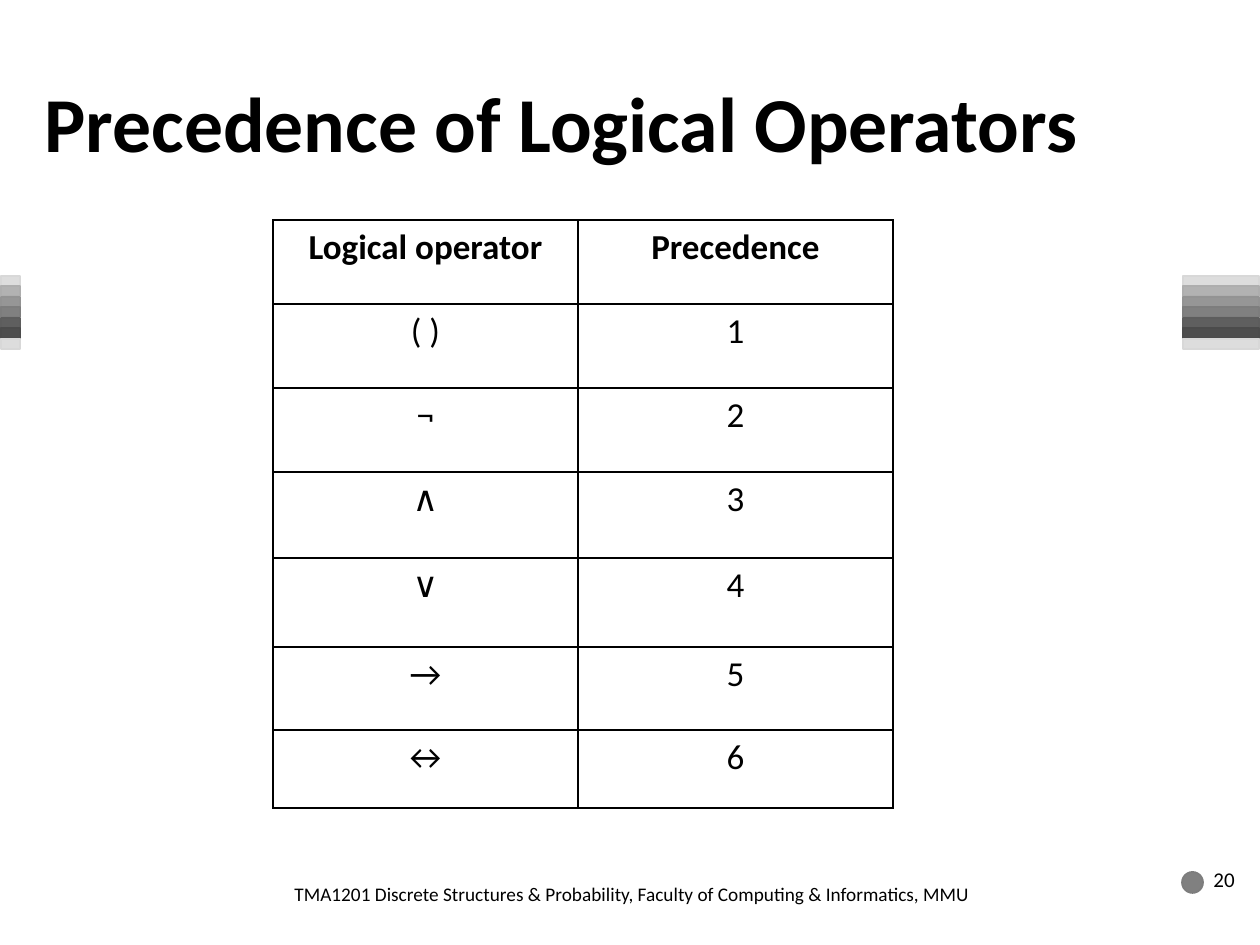
from typing import NamedTuple

from lxml.etree import SubElement
from pptx import Presentation
from pptx.dml.color import RGBColor
from pptx.enum.shapes import MSO_SHAPE as Shape
from pptx.enum.text import MSO_ANCHOR as Anchor, MSO_AUTO_SIZE as AutoSize, PP_ALIGN as Align
from pptx.oxml.ns import qn
from pptx.util import Emu, Pt

PX_PER_INCH = 126
BLACK = RGBColor(0x00, 0x00, 0x00)
GREY = RGBColor(0x80, 0x80, 0x80)
GREY_EDGE = RGBColor(0x7D, 0x7D, 0x7D)
LIGHT = RGBColor(0xDD, 0xDD, 0xDD)
LIGHT_EDGE = RGBColor(0xD8, 0xD8, 0xD8)
FONT = "Calibri"


class Box(NamedTuple):
    left: int
    top: int
    width: int
    height: int


class Band(NamedTuple):
    fill: RGBColor
    edge: RGBColor


class Precedence(NamedTuple):
    operator: str
    rank: str
    height: int


BANDS = [
    Band(LIGHT, LIGHT_EDGE),
    Band(RGBColor(0xB2, 0xB2, 0xB2), RGBColor(0xAE, 0xAE, 0xAE)),
    Band(RGBColor(0x96, 0x96, 0x96), RGBColor(0x93, 0x93, 0x93)),
    Band(GREY, GREY_EDGE),
    Band(RGBColor(0x5F, 0x5F, 0x5F), RGBColor(0x5D, 0x5D, 0x5D)),
    Band(RGBColor(0x4D, 0x4D, 0x4D), RGBColor(0x4B, 0x4B, 0x4B)),
    Band(LIGHT, LIGHT_EDGE),
]

PRECEDENCES = [
    Precedence("Logical operator", "Precedence", 84),
    Precedence("( )", "1", 84),
    Precedence("¬", "2", 84),
    Precedence("∧", "3", 86),
    Precedence("∨", "4", 89),
    Precedence("→", "5", 83),
    Precedence("↔", "6", 78),
]
COLUMN_WIDTHS = [305, 315]


def px(length: int) -> Emu:
    return Emu(round(length * 914400 / PX_PER_INCH))


def place(box: Box) -> list[Emu]:
    return [px(length) for length in box]


def write(frame, text: str, *, size: float, bold: bool = False,
          align: Align = Align.LEFT, anchor: Anchor = Anchor.TOP) -> None:
    frame.word_wrap = True
    frame.vertical_anchor = anchor
    paragraph = frame.paragraphs[0]
    paragraph.alignment = align
    paragraph.space_before = Pt(0)
    run = paragraph.add_run()
    run.text = text
    run.font.name = FONT
    run.font.size = Pt(size)
    run.font.bold = bold
    run.font.color.rgb = BLACK


def add_filled(slide, kind: Shape, box: Box, band: Band) -> None:
    shape = slide.shapes.add_shape(kind, *place(box))
    shape.shadow.inherit = False
    shape.fill.solid()
    shape.fill.fore_color.rgb = band.fill
    shape.line.color.rgb = band.edge
    shape.line.width = Pt(1)


def add_stripes(slide, left: int, width: int) -> None:
    for index, band in enumerate(BANDS):
        add_filled(slide, Shape.RECTANGLE, Box(left, 276 + index * 21 // 2, width, 10), band)


def add_label(slide, box: Box, text: str, **text_format) -> None:
    label = slide.shapes.add_textbox(*place(box))
    write(label.text_frame, text, **text_format)


def outline_cell(cell) -> None:
    cell.fill.background()
    properties = cell._tc.get_or_add_tcPr()
    for index, side in enumerate(("a:lnL", "a:lnR", "a:lnT", "a:lnB")):
        border = SubElement(properties, qn(side), w=str(Pt(1)))
        fill = SubElement(border, qn("a:solidFill"))
        SubElement(fill, qn("a:srgbClr"), val=str(BLACK))
        properties.insert(index, border)


def add_precedence_table(slide) -> None:
    box = Box(273, 220, sum(COLUMN_WIDTHS), sum(row.height for row in PRECEDENCES))
    table = slide.shapes.add_table(len(PRECEDENCES), len(COLUMN_WIDTHS), *place(box)).table
    table.horz_banding = False
    for column, width in zip(table.columns, COLUMN_WIDTHS):
        column.width = px(width)
    for index, (row, precedence) in enumerate(zip(table.rows, PRECEDENCES)):
        row.height = px(precedence.height)
        for cell, text in zip(row.cells, (precedence.operator, precedence.rank)):
            outline_cell(cell)
            write(cell.text_frame, text, size=20, bold=index == 0, align=Align.CENTER)


def main() -> None:
    presentation = Presentation()
    presentation.slide_width, presentation.slide_height = px(1260), px(945)
    slide = presentation.slides.add_slide(presentation.slide_layouts[5])

    add_stripes(slide, 1, 19)
    add_stripes(slide, 1183, 76)
    add_filled(slide, Shape.OVAL, Box(1182, 872, 21, 21), Band(GREY, GREY_EDGE))

    title = slide.shapes.title
    title.left, title.top, title.width, title.height = place(Box(32, 42, 1134, 158))
    title.text_frame.auto_size = AutoSize.NONE
    write(title.text_frame, "Precedence of Logical Operators", size=44.4, bold=True,
          anchor=Anchor.MIDDLE)

    add_label(slide, Box(282, 876, 863, 50),
              "TMA1201 Discrete Structures & Probability, Faculty of Computing & Informatics, MMU",
              size=11)
    add_label(slide, Box(1201, 848, 59, 63), "20", size=12, anchor=Anchor.MIDDLE)
    add_precedence_table(slide)

    presentation.save("out.pptx")


if __name__ == "__main__":
    main()
